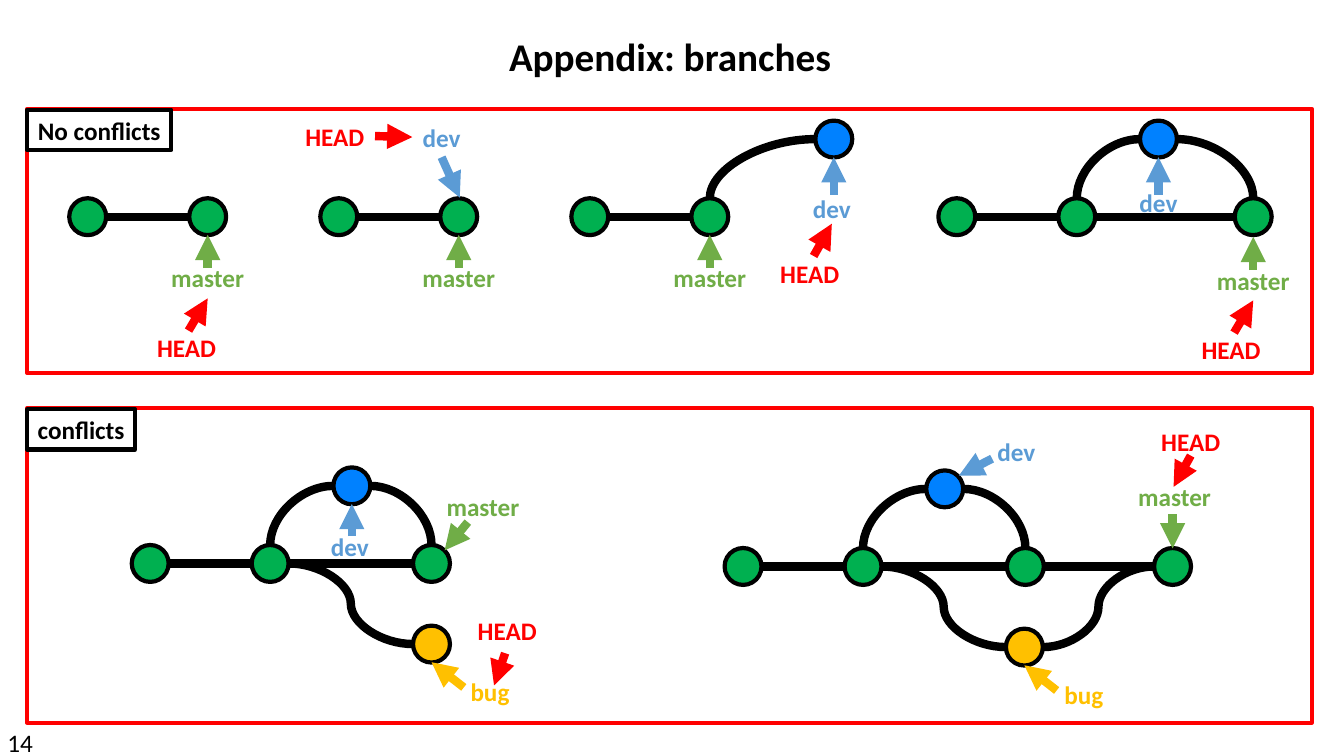
from lxml.etree import SubElement
from pptx import Presentation
from pptx.dml.color import RGBColor
from pptx.enum.shapes import MSO_CONNECTOR, MSO_SHAPE
from pptx.enum.text import MSO_ANCHOR, MSO_AUTO_SIZE, PP_ALIGN
from pptx.oxml.ns import qn
from pptx.util import Inches, Pt

HUES = {"ink": "000000", "frame": "FF0000", "main": "00B050", "side": "0081FF",
        "fix": "FFC000", "HEAD": "FF0000", "master": "70AD47", "dev": "5B9BD5",
        "bug": "FFC000"}
WIDE = {"HEAD": 7.9, "master": 9.3, "dev": 5.8, "bug": 5.9}
CELL, COLS, ROWS = 0.1, 133.3, 75
RAD, HIGH = 1.83, 4
FRAME = {"word_wrap": False, "auto_size": MSO_AUTO_SIZE.NONE,
         "vertical_anchor": MSO_ANCHOR.MIDDLE}
FONT = {"name": "Calibri", "bold": True}
STEM = (0, 5.1, 0, 1.8)
RISE = (0, 5.5, 0, 1.8)
MASTER = ("master", "tip", 0, 6, STEM)

TRUNK = {"root": ("main", 0, 0), "tip": ("main", 11.9, 0)}
FORK = {"root": ("main", 0, 0), "base": ("main", 11.9, 0), "top": ("side", 20, -7.7)}
STEP = ("line", "root", "tip")
LOOP = [("line", "root", "base"), ("line", "base", "join"),
        ("arc", "top", "join"), ("arc", "top", "base")]

CLEAN = [
    (6, 10.7, TRUNK, [STEP],
     [MASTER, ("HEAD", "tip", -2.1, 13, (-1.9, 11.3, 0, 8.1))]),
    (30.9, 10.7, TRUNK, [STEP],
     [MASTER, ("HEAD", "tip", -12.3, -8, (-8.3, -8, -4.6, -7.9)),
      ("dev", "tip", -1.7, -7.9, (-1.7, -5.9, 0.1, -1.9))]),
    (55.8, 10.7, TRUNK | {"top": ("side", 24.2, -7.7)},
     [STEP, ("arc", "top", "tip")],
     [MASTER, ("dev", "top", -0.2, 6.9, RISE),
      ("HEAD", "top", -2.4, 13.3, (-2, 11.6, -0.2, 8.4))]),
    (92.2, 10.7, FORK | {"join": ("main", 29.4, 0)}, LOOP,
     [("master", "join", 0, 6.3, (0, 5.3, 0, 2)), ("dev", "top", 0, 6.3, RISE),
      ("HEAD", "join", -2.2, 13.2, (-1.9, 11.5, 0, 8.3))]),
]
CLASH = [
    (12.2, 15.4,
     FORK | {"join": ("main", 27.9, 0), "low": ("fix", 27.9, 8)},
     LOOP + [("wave", "low", "base")],
     [("HEAD", "low", 7.5, -1.4, (7.3, 0.9, 6.2, 4.1)),
      ("master", "join", 5.1, -5.7, (3.6, -4.1, 1.3, -1.3)),
      ("dev", "top", -0.2, 6, (0, 5, 0, 1.8)),
      ("bug", "low", 5.8, 4.7, (3.2, 4.3, 0, 1.8))]),
    (71, 15.7,
     FORK | {"join": ("main", 28, 0), "low": ("fix", 27.9, 8),
             "tip": ("main", 42.6, 0)},
     LOOP + [("line", "join", "tip"), ("wave", "low", "base"),
             ("wave", "tip", "low")],
     [("HEAD", "tip", 1.8, -12.4, (1.8, -11, 0.1, -7.9)),
      ("master", "tip", 0.2, -6.9, (0, -5.2, 0, -1.8)),
      ("dev", "top", 7.1, -3.7, (4.7, -3, 1.4, -1.3)),
      ("bug", "low", 5.9, 4.7, (3.2, 4.3, 0, 1.8))]),
]


def grid(*cells):
    """Turn grid cells into lengths."""
    return [Inches(cell * CELL) for cell in cells]


def tint(hue):
    """Look up a colour by name."""
    return RGBColor.from_string(HUES[hue])


def put(obj, vals):
    """Set each named value on an object."""
    for key, val in vals.items():
        setattr(obj, key, val)


def write(shape, words, hue="ink", size=18, bold=True):
    """Write one centred line of text in a shape."""
    frame = shape.text_frame
    put(frame, FRAME)
    para = frame.paragraphs[0]
    para.alignment = PP_ALIGN.CENTER
    run = para.add_run()
    run.text = words
    put(run.font, FONT | {"size": Pt(size), "bold": bold})
    run.font.color.rgb = tint(hue)


def text(slide, box, words, **look):
    """Place a line of text in a box."""
    write(slide.shapes.add_textbox(*grid(*box)), words, **look)


def form(slide, kind, box, edge, fill=None):
    """Draw an outlined shape in a box."""
    shape = slide.shapes.add_shape(kind, *grid(*box))
    shape.shadow.inherit = False
    if fill:
        shape.fill.solid()
        shape.fill.fore_color.rgb = tint(fill)
    else:
        shape.fill.background()
    shape.line.color.rgb = tint(edge)
    shape.line.width = Pt(3)
    return shape


def link(slide, ends, hue="ink", kind="line", head=False):
    """Draw a thick line, curve or arrow between two points."""
    style = MSO_CONNECTOR.STRAIGHT if kind == "line" else MSO_CONNECTOR.CURVE
    wire = slide.shapes.add_connector(style, *grid(*ends))
    wire.line.color.rgb = tint(hue)
    wire.line.width = Pt(6)
    props = wire._element.spPr
    if kind == "arc":
        props.find(qn("a:prstGeom")).set("prst", "curvedConnector2")
    if head:
        SubElement(wire.line._get_or_add_ln(), qn("a:tailEnd"), type="triangle")
    SubElement(props, qn("a:effectLst"))


def graph(slide, left, top, dots, links, tags):
    """Draw a commit graph whose first commit is centred at left, top."""
    spots = {}
    for name, (hue, col, row) in dots.items():
        x, y = spots[name] = left + col, top + row
        form(slide, MSO_SHAPE.OVAL, (x - RAD, y - RAD, 2 * RAD, 2 * RAD), "ink", hue)
    for kind, start, end in links:
        (ax, ay), (bx, by) = spots[start], spots[end]
        side = RAD if bx > ax else -RAD
        goal = (bx, by - RAD) if kind == "arc" else (bx - side, by)
        link(slide, (ax + side, ay, *goal), kind=kind)
    for word, name, col, row, (ax, ay, bx, by) in tags:
        x, y = spots[name]
        link(slide, (x + ax, y + ay, x + bx, y + by), word, head=True)
        wide = WIDE[word]
        text(slide, (x + col - wide / 2, y + row - HIGH / 2, wide, HIGH), word, hue=word)


def panel(slide, box, words, wide, graphs):
    """Draw a framed panel with its name and graphs."""
    left, top = box[:2]
    for col, row, *parts in graphs:
        graph(slide, left + col, top + row, *parts)
    form(slide, MSO_SHAPE.RECTANGLE, box, "frame")
    name = form(slide, MSO_SHAPE.RECTANGLE, (left, top + 0.1, wide, HIGH), "ink")
    write(name, words)


def main():
    """Build and save the slide."""
    deck = Presentation()
    put(deck, dict(zip(("slide_width", "slide_height"), grid(COLS, ROWS))))
    slide = deck.slides.add_slide(deck.slide_layouts[6])
    text(slide, (-0.3, 71.7, 4.6, HIGH), "14", bold=False)
    text(slide, (49.3, 2.7, 34.3, 5.7), "Appendix: branches", size=28)
    panel(slide, (2.7, 40.5, 127.4, 31.2), "conflicts", 10.7, CLASH)
    panel(slide, (2.7, 10.8, 127.4, 26.2), "No conflicts", 14.3, CLEAN)
    deck.save("out.pptx")


if __name__ == "__main__":
    main()
